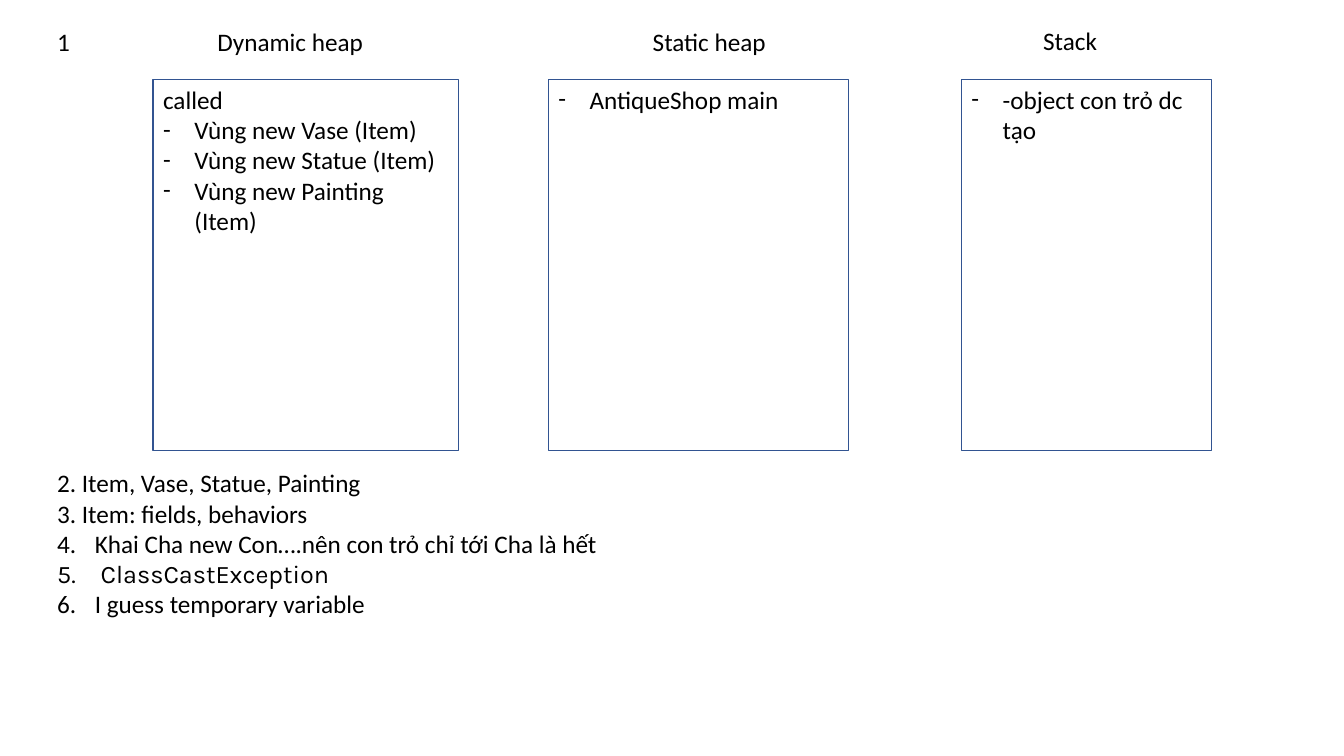
from lxml import etree
from pptx import Presentation
from pptx.dml.color import RGBColor
from pptx.enum.shapes import MSO_SHAPE
from pptx.oxml.ns import qn
from pptx.util import Cm, Pt

RECTANGLE = MSO_SHAPE.RECTANGLE
COLORS = {"text": "000000", "outline": "325491"}
FONT, CODE_FONT = "Calibri", "Karla"
PLAIN, DASH, NUMBER = "plain", "dash", "number"
INDENTS = {DASH: 0.79, NUMBER: 0.95}
FIRST_NUMBER = 4

# Content: heading, heading left, top and width, region left and width, lines
REGIONS = [
    ("Dynamic heap", (5.23, 0.53, 4.22), (3.86, 7.7), [
        ("called", PLAIN),
        ("Vùng new Vase (Item)", DASH),
        ("Vùng new Statue (Item)", DASH),
        ("Vùng new Painting (Item)", DASH),
    ]),
    ("Static heap", (16.2, 0.53, 3.4), (13.82, 7.57),
     [("AntiqueShop main", DASH)]),
    ("Stack", (26.04, 0.51, 1.88), (24.23, 6.3),
     [("-object con trỏ dc tạo", DASH)]),
]
ANSWERS = [
    ("2. Item, Vase, Statue, Painting", PLAIN),
    ("3. Item: fields, behaviors", PLAIN),
    ("Khai Cha new Con….nên con trỏ chỉ tới Cha là hết", NUMBER),
    ("\u00a0ClassCastException ", NUMBER),
    ("I guess temporary variable", NUMBER),
]
CODE_LINES = {"\u00a0ClassCastException "}

# Layout in centimetres
MARGIN = 1.19
REGION_TOP, REGION_HEIGHT = 2.0, 9.35
LINE_HEIGHT, PADDING = 0.77, 0.25

prs = Presentation()
prs.slide_width, prs.slide_height = Cm(33.87), Cm(19.05)
slide = prs.slides.add_slide(prs.slide_layouts[6])


def set_marker(paragraph, marker):
    if marker == PLAIN:
        return
    props = paragraph._p.get_or_add_pPr()
    indent = Cm(INDENTS[marker])
    props.set("marL", str(indent))
    props.set("indent", str(-indent))
    if marker == DASH:
        etree.SubElement(props, qn("a:buFont"), typeface=FONT)
        etree.SubElement(props, qn("a:buChar"), char="-")
    else:
        etree.SubElement(props, qn("a:buAutoNum"), type="arabicPeriod",
                         startAt=str(FIRST_NUMBER))


def add_lines(left, top, width, lines, wrap=True):
    height = LINE_HEIGHT * len(lines) + PADDING
    box = slide.shapes.add_textbox(Cm(left), Cm(top), Cm(width), Cm(height))
    frame = box.text_frame
    frame.word_wrap = wrap
    frame.text = "\n".join(text for text, _ in lines)
    for paragraph, (text, marker) in zip(frame.paragraphs, lines):
        set_marker(paragraph, marker)
        for run in paragraph.runs:
            run.font.size = Pt(18)
            run.font.name = CODE_FONT if text in CODE_LINES else FONT
            run.font.color.rgb = RGBColor.from_string(COLORS["text"])


# Memory regions with their headings
for heading, heading_place, (left, width), lines in REGIONS:
    region = slide.shapes.add_shape(RECTANGLE, Cm(left), Cm(REGION_TOP),
                                    Cm(width), Cm(REGION_HEIGHT))
    region.shadow.inherit = False
    region.fill.background()
    region.line.color.rgb = RGBColor.from_string(COLORS["outline"])
    region.line.width = Pt(1)
    add_lines(*heading_place, [(heading, PLAIN)], wrap=False)
    add_lines(left, REGION_TOP, width, lines)

# Question number and remaining answers
add_lines(MARGIN, 0.53, 1.68, [("1", PLAIN)])
add_lines(MARGIN, 11.66, 16.05, ANSWERS)

prs.save("out.pptx")
